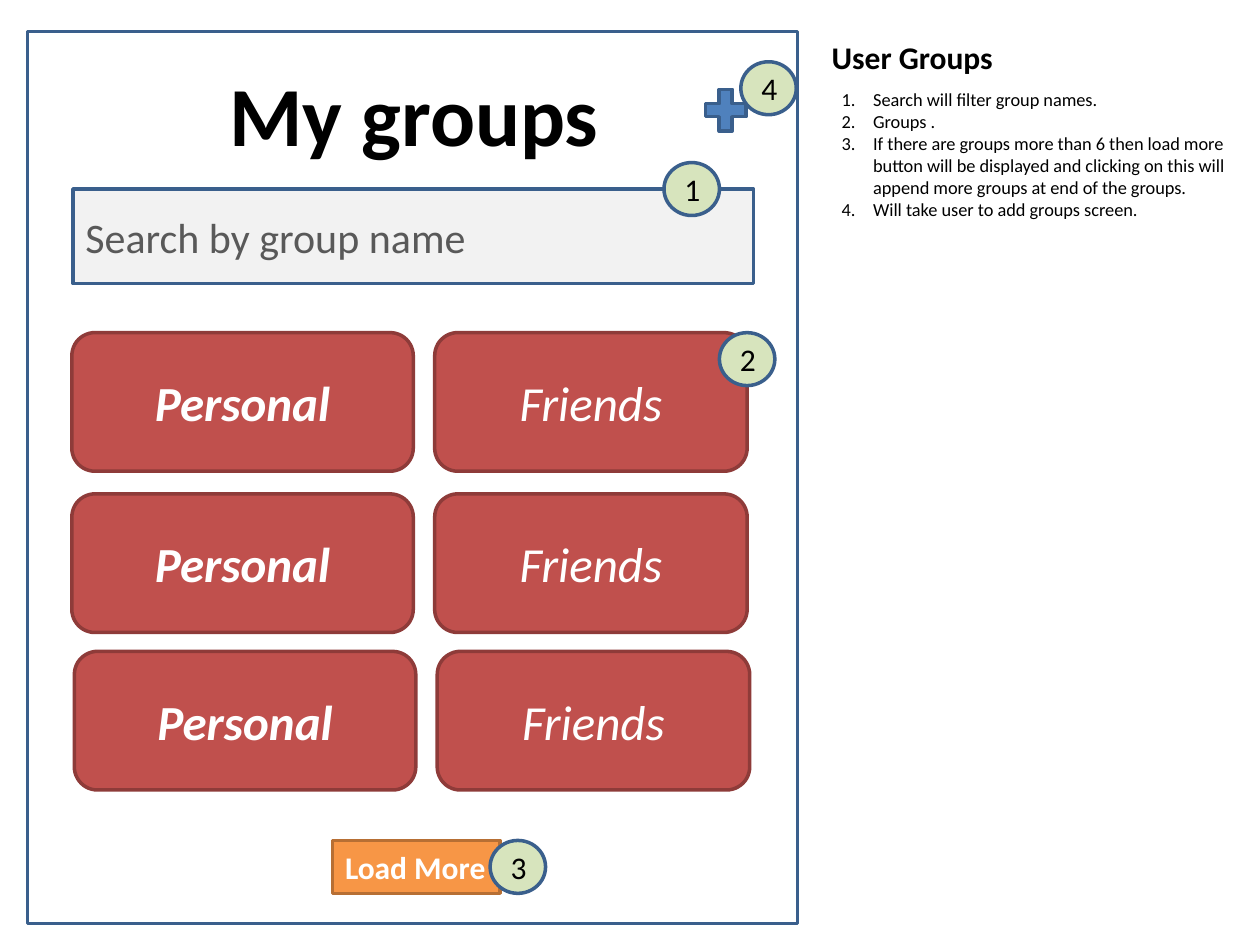
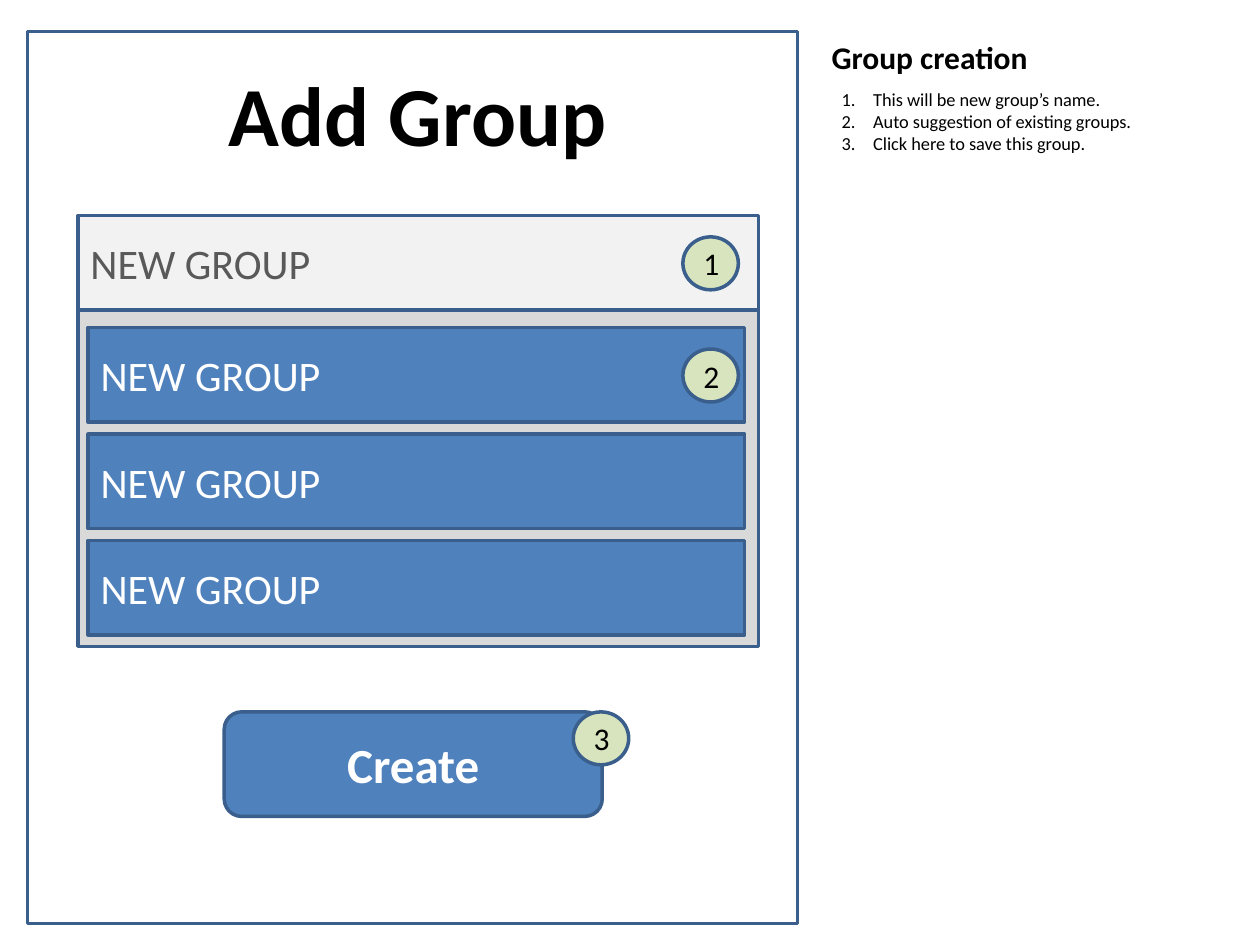
from lxml.etree import SubElement
from pptx import Presentation
from pptx.dml.color import RGBColor
from pptx.enum.shapes import MSO_SHAPE
from pptx.enum.text import MSO_ANCHOR, MSO_AUTO_SIZE, PP_ALIGN
from pptx.oxml.ns import qn
from pptx.util import Inches, Pt

FONT = "Calibri"
BLACK = RGBColor(0, 0, 0)
WHITE = RGBColor(0xFF, 0xFF, 0xFF)
GREY = RGBColor(0x59, 0x59, 0x59)
PALE = RGBColor(0xF2, 0xF2, 0xF2)
SILVER = RGBColor(0xD9, 0xD9, 0xD9)
BLUE = RGBColor(0x4F, 0x81, 0xBD)
NAVY = RGBColor(0x3A, 0x5F, 0x8C)
GREEN = RGBColor(0xD7, 0xE4, 0xBD)
RED = RGBColor(0xC0, 0x50, 0x4D)
MAROON = RGBColor(0x8E, 0x3B, 0x39)
ORANGE = RGBColor(0xF7, 0x96, 0x46)
BROWN = RGBColor(0xB7, 0x6F, 0x34)


def write(frame, *lines, size=18, color=BLACK, bold=False, italic=False,
          align=PP_ALIGN.LEFT, anchor=MSO_ANCHOR.MIDDLE, wrap=True):
    frame.word_wrap = wrap
    frame.auto_size = MSO_AUTO_SIZE.NONE
    frame.vertical_anchor = anchor
    for index, line in enumerate(lines):
        para = frame.add_paragraph() if index else frame.paragraphs[0]
        para.alignment = align
        para.space_before = Pt(0)
        run = para.add_run()
        run.text = line
        font = run.font
        font.name, font.size = FONT, Pt(size)
        font.bold, font.italic = bold, italic
        font.color.rgb = color


def place(shape, left, top, width, height):
    shape.left, shape.top = Inches(left), Inches(top)
    shape.width, shape.height = Inches(width), Inches(height)


class Screen:
    def __init__(self, deck):
        self.deck = deck
        self.slide = None

    def start(self, title, notes, height, heading, left):
        self.slide = self.deck.slides.add_slide(self.deck.slide_layouts[1])
        name = self.slide.shapes.title
        place(name, 6.5, 0.25, 3.33, 0.4)
        write(name.text_frame, title, bold=True, anchor=MSO_ANCHOR.TOP)
        body = self.slide.placeholders[1]
        place(body, 6.58, 0.65, 3.25, height)
        write(body.text_frame, *notes, size=10.5, anchor=MSO_ANCHOR.TOP)
        for para in body.text_frame.paragraphs:
            props = para._p.get_or_add_pPr()
            props.set("marL", str(Inches(0.25)))
            props.set("indent", str(-Inches(0.25)))
            SubElement(props, qn("a:buFont"), typeface="+mj-lt")
            SubElement(props, qn("a:buAutoNum"), type="arabicPeriod")
        self.shape(0.22, 0.25, 6.11, 7.08, fill=WHITE)
        box = self.slide.shapes.add_textbox(
            Inches(left), Inches(0.45), Inches(3.69), Inches(0.91))
        write(box.text_frame, heading, size=48, bold=True,
              align=PP_ALIGN.CENTER, anchor=MSO_ANCHOR.TOP)

    def shape(self, left, top, width, height, text=None, fill=BLUE, line=NAVY,
              kind=MSO_SHAPE.RECTANGLE, **style):
        item = self.slide.shapes.add_shape(
            kind, Inches(left), Inches(top), Inches(width), Inches(height))
        item.shadow.inherit = False
        item.fill.solid()
        item.fill.fore_color.rgb = fill
        item.line.color.rgb = line
        item.line.width = Pt(2)
        if text:
            write(item.text_frame, text, **style)

    def field(self, left, top, text, width=5.4, fill=PALE, color=GREY):
        self.shape(left, top, width, 0.75, text, fill, size=24, color=color)

    def button(self, left, top, width, height, text, **style):
        self.shape(left, top, width, height, text, size=28, color=WHITE,
                   kind=MSO_SHAPE.ROUNDED_RECTANGLE, align=PP_ALIGN.CENTER, **style)

    def badge(self, left, top, number):
        self.shape(left, top, 0.44, 0.42, str(number), GREEN,
                   kind=MSO_SHAPE.OVAL, align=PP_ALIGN.CENTER)


def groups(screen):
    notes = [
        "Search will filter group names.",
        "Groups .",
        "If there are groups more than 6 then load more button will be displayed "
        "and clicking on this will append more groups at end of the groups.",
        "Will take user to add groups screen.",
    ]
    screen.start("User Groups", notes, 1.34, "My groups", 1.44)
    screen.field(0.58, 1.5, "Search by group name")
    for top, shift in ((2.64, 0), (3.92, 0), (5.17, 0.02)):
        for left, width, text, bold in ((0.57, 2.71, "Personal", True),
                                        (3.45, 2.48, "Friends", False)):
            screen.button(left + shift, top, width, 1.1, text, fill=RED,
                          line=MAROON, bold=bold, italic=True)
    screen.shape(2.64, 6.67, 1.33, 0.42, "Load More", ORANGE, BROWN,
                 color=WHITE, bold=True, wrap=False)
    screen.shape(5.54, 0.65, 0.44, 0.45, kind=MSO_SHAPE.MATH_PLUS)
    spots = ((5.27, 1.29), (5.71, 2.64), (3.89, 6.67), (5.88, 0.49))
    for number, spot in enumerate(spots, 1):
        screen.badge(*spot, number)


def creation(screen):
    notes = [
        "This will be new group’s name.",
        "Auto suggestion of existing groups.",
        "Click here to save this group.",
    ]
    screen.start("Group creation", notes, 0.63, "Add Group", 1.47)
    screen.field(0.62, 1.71, "NEW GROUP")
    screen.shape(0.62, 2.46, 5.4, 2.67, fill=SILVER)
    for row in range(3):
        screen.field(0.7, 2.6 + 0.845 * row, "NEW GROUP", 5.21, BLUE, WHITE)
    screen.button(1.78, 5.65, 3, 0.83, "Create", bold=True)
    for number, spot in enumerate(((5.42, 1.88), (5.42, 2.77), (4.55, 5.65)), 1):
        screen.badge(*spot, number)


def main():
    deck = Presentation()
    deck.slide_width, deck.slide_height = Inches(10), Inches(7.5)
    screen = Screen(deck)
    groups(screen)
    creation(screen)
    deck.save("out.pptx")


if __name__ == "__main__":
    main()
